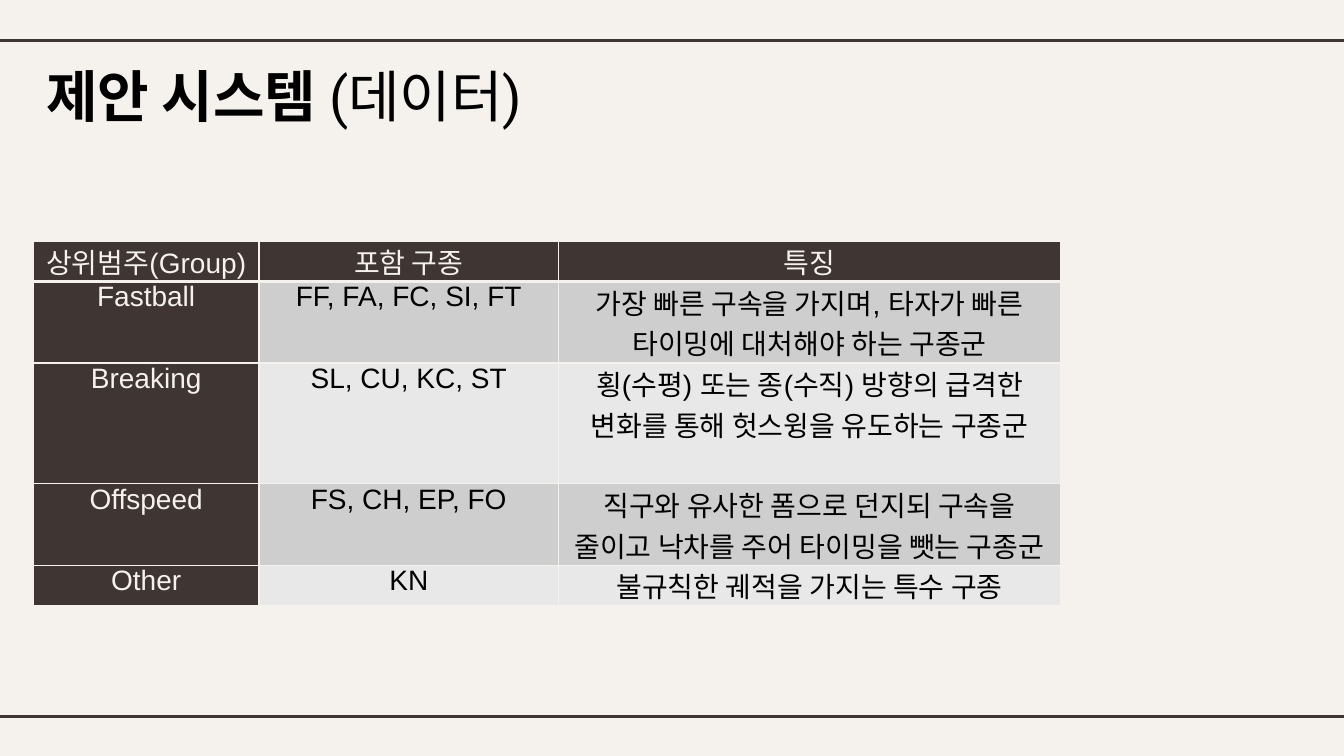
from dataclasses import dataclass

import pptx
import pptx.dml.color
import pptx.enum.shapes
import pptx.enum.text
import pptx.oxml
import pptx.oxml.ns
import pptx.util

Inches = pptx.util.Inches
Pt = pptx.util.Pt

CREAM = "F5F2EE"
BROWN = "3F3533"
BLACK = "000000"
BANDS = ("CFCECE", "E8E8E8")


@dataclass
class PitchRow:
    group: str
    pitches: str
    feature: str
    height: float


@dataclass
class TitleRun:
    text: str
    bold: bool


PITCH_ROWS = [
    PitchRow("상위범주(Group)", "포함 구종", "특징", 0.4),
    PitchRow("Fastball", "FF, FA, FC, SI, FT",
             "가장 빠른 구속을 가지며, 타자가 빠른 타이밍에 대처해야 하는 구종군", 0.8),
    PitchRow("Breaking", "SL, CU, KC, ST",
             "횡(수평) 또는 종(수직) 방향의 급격한 변화를 통해 헛스윙을 유도하는 구종군", 1.2),
    PitchRow("Offspeed", "FS, CH, EP, FO",
             "직구와 유사한 폼으로 던지되 구속을 줄이고 낙차를 주어 타이밍을 뺏는 구종군", 0.8),
    PitchRow("Other", "KN", "불규칙한 궤적을 가지는 특수 구종", 0.4),
]
COLUMN_WIDTHS = (2.24, 2.97, 4.98)
TITLE_RUNS = [TitleRun("제안 시스템 ", True), TitleRun("(데이터)", False)]
RULE_TOPS = (0.4, 7.11)


def rgb(value: str) -> pptx.dml.color.RGBColor:
    return pptx.dml.color.RGBColor.from_string(value)


def add_run(paragraph, text: str, size: float, face: str, color: str, bold: bool) -> None:
    run = paragraph.add_run()
    run.text = text
    run.font.size = Pt(size)
    run.font.name = face
    run.font.bold = bold
    run.font.color.rgb = rgb(color)


def add_rule(slide, top: float) -> None:
    rule = slide.shapes.add_connector(
        pptx.enum.shapes.MSO_CONNECTOR.STRAIGHT,
        Inches(-0.11), Inches(top), Inches(13.44), Inches(top))
    rule.line.color.rgb = rgb(BROWN)
    rule.line.width = Pt(2.25)
    effects = pptx.oxml.parse_xml(f'<a:effectLst {pptx.oxml.ns.nsdecls("a")}/>')
    rule._element.spPr.append(effects)


def set_title(slide) -> None:
    title = slide.shapes.title
    title.left, title.top = Inches(0.33), Inches(0.56)
    title.width, title.height = Inches(11.25), Inches(0.84)
    frame = title.text_frame
    frame.word_wrap = True
    frame.auto_size = pptx.enum.text.MSO_AUTO_SIZE.NONE
    frame.vertical_anchor = pptx.enum.text.MSO_ANCHOR.TOP
    frame.margin_left = frame.margin_right = Inches(0.13)
    frame.margin_top = frame.margin_bottom = Inches(0.13)
    heading = frame.paragraphs[0]
    heading.alignment = pptx.enum.text.PP_ALIGN.LEFT
    heading.line_spacing = 0.9
    for part in TITLE_RUNS:
        add_run(heading, part.text, 40, "Roboto", BLACK, part.bold)


def set_borders(cell, top: float, bottom: float) -> None:
    widths = {"lnL": 1, "lnR": 1, "lnT": top, "lnB": bottom}
    properties = cell._tc.get_or_add_tcPr()
    for index, (side, width) in enumerate(widths.items()):
        border = pptx.oxml.parse_xml(
            f'<a:{side} {pptx.oxml.ns.nsdecls("a")} w="{Pt(width)}">'
            f'<a:solidFill><a:srgbClr val="{CREAM}"/></a:solidFill></a:{side}>')
        properties.insert(index, border)


def fill_cell(cell, text: str, row: int, column: int) -> None:
    dark = row == 0 or column == 0
    cell.margin_left = cell.margin_right = Inches(0.07)
    cell.margin_top = cell.margin_bottom = 0
    cell.fill.solid()
    cell.fill.fore_color.rgb = rgb(BROWN if dark else BANDS[(row - 1) % 2])
    set_borders(cell, top=3 if row == 1 else 1, bottom=3 if row == 0 else 1)
    paragraph = cell.text_frame.paragraphs[0]
    paragraph.alignment = pptx.enum.text.PP_ALIGN.CENTER
    add_run(paragraph, text, 20, "Arial", CREAM if dark else BLACK, False)


def add_pitch_table(slide) -> None:
    pitch_table = slide.shapes.add_table(
        len(PITCH_ROWS), len(COLUMN_WIDTHS), Inches(0.33), Inches(2.39),
        Inches(sum(COLUMN_WIDTHS)), Inches(sum(row.height for row in PITCH_ROWS))).table
    for column, width in zip(pitch_table.columns, COLUMN_WIDTHS):
        column.width = Inches(width)
    for row, pitch in enumerate(PITCH_ROWS):
        pitch_table.rows[row].height = Inches(pitch.height)
        for column, text in enumerate((pitch.group, pitch.pitches, pitch.feature)):
            fill_cell(pitch_table.cell(row, column), text, row, column)


def main() -> None:
    deck = pptx.Presentation()
    deck.slide_width, deck.slide_height = Inches(13.33), Inches(7.5)
    slide = deck.slides.add_slide(deck.slide_layouts.get_by_name("Title Only"))
    slide.background.fill.solid()
    slide.background.fill.fore_color.rgb = rgb(CREAM)
    for top in RULE_TOPS:
        add_rule(slide, top)
    set_title(slide)
    add_pitch_table(slide)
    deck.save("out.pptx")


if __name__ == "__main__":
    main()
